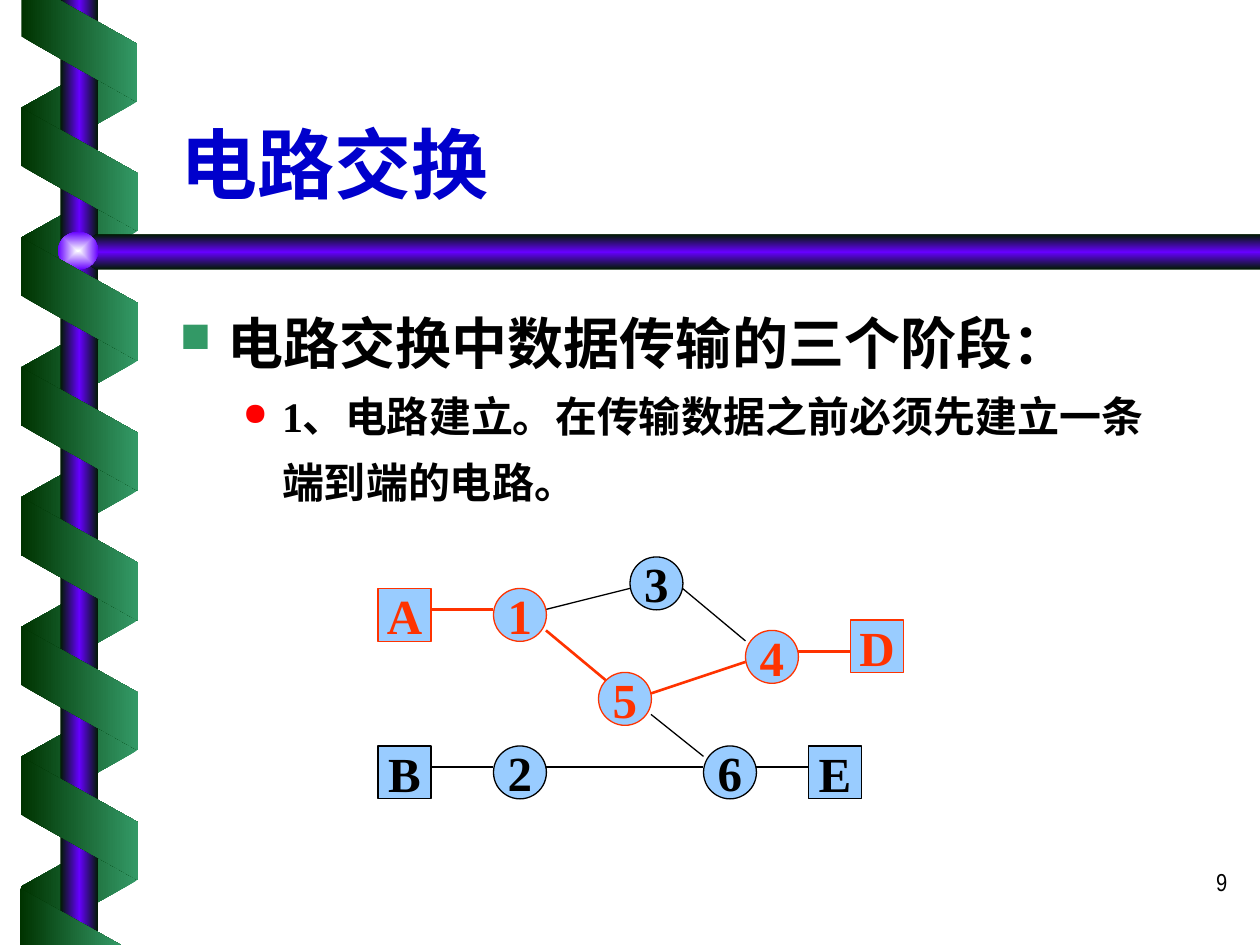
from lxml import etree
from pptx import Presentation
from pptx.dml.color import RGBColor
from pptx.enum.shapes import MSO_CONNECTOR, MSO_SHAPE
from pptx.enum.text import MSO_ANCHOR, MSO_AUTO_SIZE, PP_ALIGN
from pptx.oxml import parse_xml
from pptx.oxml.ns import nsdecls, qn
from pptx.util import Inches, Pt

COLORS = {
    "dark_green": "003300", "green": "339966", "near_black": "001A00",
    "violet": "6600FF", "ball_core": "FEFFFF", "title": "0000CC",
    "text": "000000", "red_bullet": "FF0000", "node": "99CCFF",
    "circuit": "FF3300",
}
SANS = "Arial Narrow"
SERIF = "Times New Roman"
RIBBON = [(0, "dark_green"), (100, "green")]
ROD = [(0, "near_black"), (50, "violet"), (100, "near_black")]


def color(name):
    return RGBColor.from_string(COLORS[name])


def set_font(font, **values):
    font.color.rgb = color(values.pop("color"))
    for name, value in values.items():
        setattr(font, name, value)


def fill_gradient(shape, stops, angle=0, radial=False):
    shape.shadow.inherit = False
    shape.line.fill.background()
    shape.fill.background()
    stop_xml = "".join(
        f'<a:gs pos="{position * 1000}"><a:srgbClr val="{COLORS[name]}"/></a:gs>'
        for position, name in stops)
    direction = (
        '<a:path path="rect"><a:fillToRect l="50000" t="50000" r="50000" b="50000"/></a:path>'
        if radial else f'<a:lin ang="{angle * 60000}" scaled="0"/>')
    gradient = parse_xml(
        f'<a:gradFill rotWithShape="0" {nsdecls("a")}>'
        f"<a:gsLst>{stop_xml}</a:gsLst>{direction}</a:gradFill>")
    properties = shape.element.spPr
    properties.replace(properties.find(qn("a:noFill")), gradient)


def add_polygon(slide, left, top, points, stops, angle=0):
    corners = [(Inches(left + x), Inches(top + y)) for x, y in points]
    builder = slide.shapes.build_freeform(*corners[0], scale=1.0)
    builder.add_line_segments(corners[1:], close=True)
    fill_gradient(builder.convert_to_shape(), stops, angle)


def add_preset(slide, kind, left, top, width, height):
    return slide.shapes.add_shape(
        kind, Inches(left), Inches(top), Inches(width), Inches(height))


def add_ribbon_turns(slide, left, top, height, count, rotation, stops, flip=False):
    for turn in range(count):
        strip = add_preset(slide, MSO_SHAPE.PARALLELOGRAM,
                           left, top + turn * 1.03, 0.98, height)
        strip.adjustments[0] = 0.56
        strip.rotation = rotation
        if flip:
            strip.element.spPr.find(qn("a:xfrm")).set("flipH", "1")
        fill_gradient(strip, stops)


def add_decoration(slide, left, top):
    add_ribbon_turns(slide, left, top + 0.37, 0.92, 7, 90, RIBBON[::-1]
                     and [(0, "green"), (100, "dark_green")], flip=True)
    rod = add_preset(slide, MSO_SHAPE.RECTANGLE, left + 0.34, top, 0.3, 7.5)
    fill_gradient(rod, ROD)
    add_polygon(slide, left + 0.46, top + 1.86,
                [(9.4, 0), (0.16, 0), (0, 0.14), (0.16, 0.28), (9.4, 0.28)], ROD, 90)
    ball = add_preset(slide, MSO_SHAPE.OVAL, left + 0.32, top + 1.84, 0.32, 0.3)
    fill_gradient(ball, [(0, "ball_core"), (100, "violet")], radial=True)
    add_ribbon_turns(slide, left, top + 0.88, 0.93, 6, 270, RIBBON)
    add_polygon(slide, left + 0.03, top,
                [(0, 0), (0, 0.29), (0.92, 0.81), (0.92, 0.35), (0.3, 0)], RIBBON)
    add_polygon(slide, left + 0.02, top + 7.05,
                [(0.8, 0.45), (0, 0), (0, 0.45)], RIBBON)


def add_title(slide, left, top, width, height):
    title = slide.shapes.title
    box = {"left": left, "top": top, "width": width, "height": height}
    for name, value in box.items():
        setattr(title, name, Inches(value))
    frame = title.text_frame
    frame.text = "电路交换"
    frame.auto_size = MSO_AUTO_SIZE.NONE
    frame.vertical_anchor = MSO_ANCHOR.BOTTOM
    paragraph = frame.paragraphs[0]
    paragraph.alignment = PP_ALIGN.LEFT
    set_font(paragraph.runs[0].font, name=SANS, size=Pt(44), bold=True, color="title")


def add_text_box(slide, left, top, width, height):
    box = slide.shapes.add_textbox(
        Inches(left), Inches(top), Inches(width), Inches(height))
    box.text_frame.word_wrap = True
    return box.text_frame


def set_bullet(paragraph, character, bullet_color, margin, indent):
    properties = paragraph._p.get_or_add_pPr()
    properties.set("marL", str(Inches(margin)))
    properties.set("indent", str(Inches(indent)))
    bullet = etree.SubElement(properties, qn("a:buClr"))
    etree.SubElement(bullet, qn("a:srgbClr"), val=COLORS[bullet_color])
    etree.SubElement(properties, qn("a:buSzPct"), val="75000")
    etree.SubElement(properties, qn("a:buChar"), char=character)


def add_body(slide, left, top, width, height):
    items = [
        ("■", "green", 0.38, -0.38, 32, [("电路交换中数据传输的三个阶段：", SANS)]),
        ("●", "red_bullet", 0.81, -0.31, 24,
         [("1、", SERIF), ("电路建立。在传输数据之前必须先建立一条端到端的电路。", SANS)]),
    ]
    frame = add_text_box(slide, left, top, width, height)
    for index, (character, bullet_color, margin, indent, size, runs) in enumerate(items):
        paragraph = frame.add_paragraph() if index else frame.paragraphs[0]
        paragraph.level = index
        set_bullet(paragraph, character, bullet_color, margin, indent)
        paragraph.line_spacing = 1.3
        for text, font_name in runs:
            run = paragraph.add_run()
            run.text = text
            set_font(run.font, name=font_name, size=Pt(size), bold=True, color="text")


def add_network(slide, left, top):
    def place(x, y):
        return Inches(left + x / 12), Inches(top + y / 12)

    links = [
        (16, 5, 24, 3, "text"), (29, 3, 35, 8, "text"), (26, 15, 31, 19, "text"),
        (5, 20, 11, 20, "text"), (16, 20, 31, 20, "text"), (36, 20, 41, 20, "text"),
        (5, 5, 11, 5, "circuit"), (16, 7, 22, 12, "circuit"),
        (26, 13, 35, 10, "circuit"), (40, 9, 45, 9, "circuit"),
    ]
    nodes = {
        "B": (0, 18, "text"), "2": (11, 18, "text"), "3": (24, 0, "text"),
        "6": (31, 18, "text"), "E": (41, 18, "text"), "A": (0, 3, "circuit"),
        "D": (45, 6, "circuit"), "1": (11, 3, "circuit"),
        "5": (21, 11, "circuit"), "4": (35, 7, "circuit"),
    }
    for x1, y1, x2, y2, ink in links:
        link = slide.shapes.add_connector(
            MSO_CONNECTOR.STRAIGHT, *place(x1, y1), *place(x2, y2))
        link.line.color.rgb = color(ink)
        link.line.width = Pt(1.5 if ink == "circuit" else 0.75)
        etree.SubElement(link.element.spPr, qn("a:effectLst"))
    for label, (x, y, ink) in nodes.items():
        kind = MSO_SHAPE.OVAL if label.isdigit() else MSO_SHAPE.RECTANGLE
        node = slide.shapes.add_shape(kind, *place(x, y), Inches(0.42), Inches(0.42))
        node.shadow.inherit = False
        node.fill.solid()
        node.fill.fore_color.rgb = color("node")
        node.line.color.rgb = color(ink)
        node.line.width = Pt(0.75)
        frame = node.text_frame
        frame.text = label
        frame.word_wrap = False
        frame.vertical_anchor = MSO_ANCHOR.MIDDLE
        paragraph = frame.paragraphs[0]
        paragraph.alignment = PP_ALIGN.CENTER
        set_font(paragraph.runs[0].font, name=SERIF, size=Pt(28), bold=True, color=ink)


def add_slide_number(slide, left, top, width, height):
    paragraph = add_text_box(slide, left, top, width, height).paragraphs[0]
    paragraph.alignment = PP_ALIGN.RIGHT
    run = paragraph.add_run()
    run.text = "9"
    set_font(run.font, name=SANS, size=Pt(14), color="text")


def main():
    presentation = Presentation()
    presentation.slide_width = Inches(10)
    presentation.slide_height = Inches(7.5)
    slide = presentation.slides.add_slide(presentation.slide_layouts[5])
    add_decoration(slide, 0.14, 0)
    add_slide_number(slide, 7.76, 6.83, 2.08, 0.5)
    add_title(slide, 1.33, 0.46, 8.5, 1.25)
    add_body(slide, 1.33, 2.24, 8.08, 1.91)
    add_network(slide, 3, 4.42)
    presentation.save("out.pptx")


if __name__ == "__main__":
    main()
